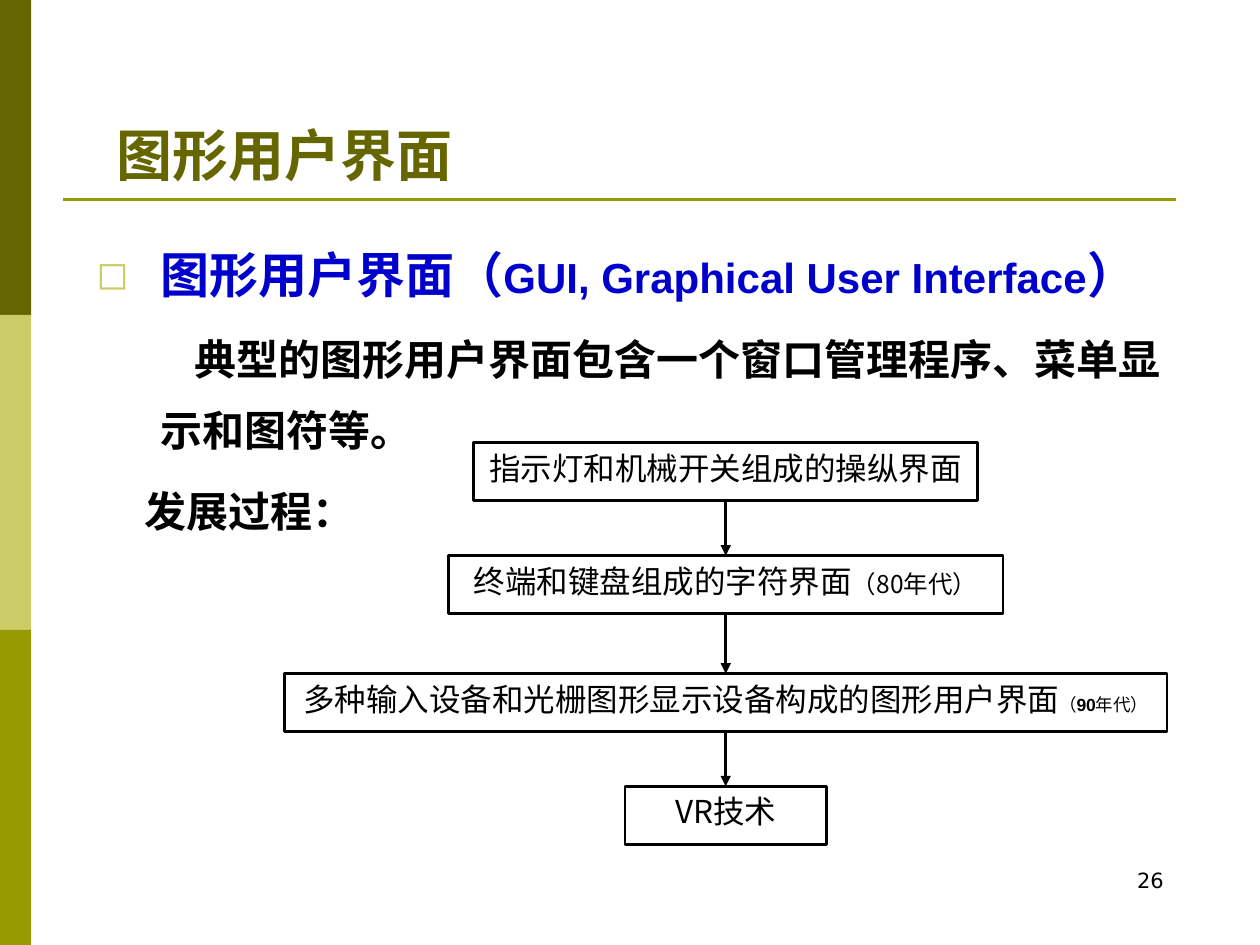
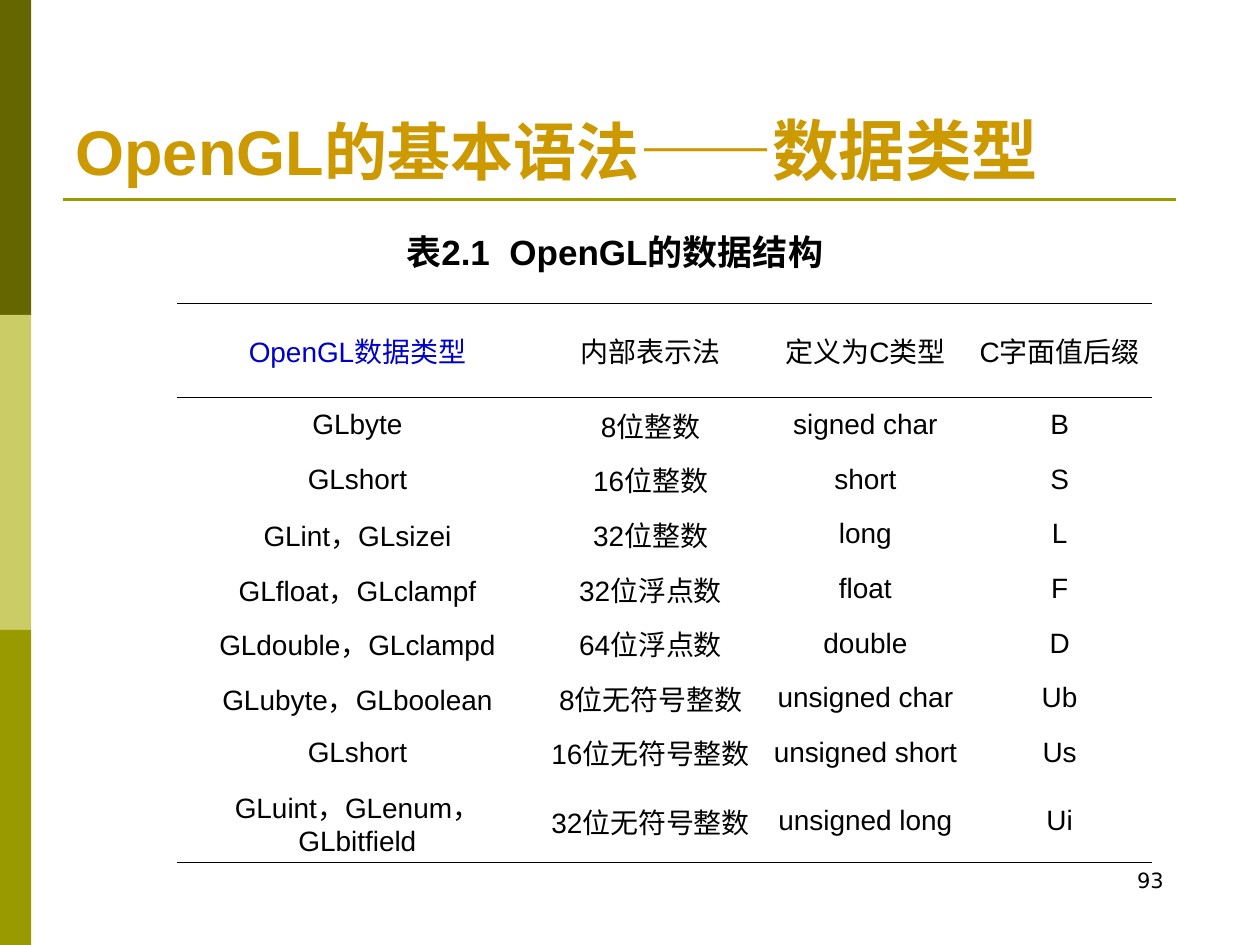
from dataclasses import dataclass
from itertools import pairwise

from lxml.etree import SubElement
from pptx import Presentation
from pptx.dml.color import RGBColor
from pptx.enum.shapes import MSO_CONNECTOR, MSO_SHAPE
from pptx.enum.text import MSO_ANCHOR, MSO_AUTO_SIZE, PP_ALIGN
from pptx.oxml.ns import qn
from pptx.util import Cm, Pt


@dataclass(frozen=True)
class Theme:
    bands: tuple = ("666600", "CCCC66", "999900")
    rule: str = "999900"
    olive: str = "666600"
    gold: str = "CC9900"
    blue: str = "0000CC"
    black: str = "000000"
    bullet: str = "CCCC66"
    latin: str = "Arial"
    sans: str = "DejaVu Sans"
    chinese: str = "Noto Sans CJK SC"
    title: int = 32
    large_title: int = 36
    largest_title: int = 38
    heading: int = 28
    body: int = 24
    caption: int = 20
    box: int = 18
    cell: int = 16
    era: int = 14
    small_era: int = 10
    number: int = 12


THEME = Theme()

GUI_TITLE = [("图形用户界面", THEME.title)]
GUI_BODY = [
    {
        "runs": [("图形用户界面（", THEME.heading),
                 ("GUI, Graphical User Interface", THEME.body),
                 ("）", THEME.heading)],
        "color": THEME.blue, "bullet": "◻", "left": 1.3, "indent": -1.3,
    },
    {
        "runs": [("典型的图形用户界面包含一个窗口管理程序、菜单显示和图符等。", THEME.body)],
        "color": THEME.black, "bullet": None, "left": 1.3, "indent": 0.67,
    },
    {
        "runs": [("发展过程：", THEME.body)],
        "color": THEME.black, "bullet": None, "left": 0.96, "indent": 0,
    },
]
STAGES = [
    (8.92, 10.16, [("指示灯和机械开关组成的操纵界面", THEME.box)]),
    (11.2, 11.18, [("终端和键盘组成的字符界面", THEME.box), ("（80年代）", THEME.era)]),
    (13.58, 17.8, [("多种输入设备和光栅图形显示设备构成的图形用户界面", THEME.box),
                   ("（", THEME.small_era),
                   ("90", THEME.small_era, True, THEME.latin),
                   ("年代）", THEME.small_era)]),
    (15.85, 4.06, [("VR技术", THEME.box)]),
]
STAGE_CENTER, STAGE_HEIGHT = 14.63, 1.17

TYPES_TITLE = [("OpenGL的基本语法", THEME.large_title),
               ("——数据类型", THEME.largest_title)]
TYPES_CAPTION = [("表2.1  OpenGL的数据结构", THEME.caption, True)]
TYPES_ROWS = [
    ("OpenGL数据类型", "内部表示法", "定义为C类型", "C字面值后缀"),
    ("GLbyte", "8位整数", "signed char", "B"),
    ("GLshort", "16位整数", "short", "S"),
    ("GLint，GLsizei", "32位整数", "long", "L"),
    ("GLfloat，GLclampf", "32位浮点数", "float", "F"),
    ("GLdouble，GLclampd", "64位浮点数", "double", "D"),
    ("GLubyte，GLboolean", "8位无符号整数", "unsigned char", "Ub"),
    ("GLshort", "16位无符号整数", "unsigned short", "Us"),
    ("GLuint，GLenum，GLbitfield", "32位无符号整数", "unsigned long", "Ui"),
]
COLUMN_WIDTHS = (7.27, 4.55, 4.11, 3.72)
HEADER_ROW, INNER_ROW, LAST_ROW = 1.9, 1.1, 1.67
PLAIN_TABLE = "{2D5ABB26-0587-4C30-8999-92F81FD0307C}"


def rgb(color):
    return RGBColor.from_string(color)


def write_runs(paragraph, runs, color, bold=False, font=THEME.latin):
    for text, size, *options in runs:
        run = paragraph.add_run()
        run.text = text
        run.font.size = Pt(size)
        run.font.bold = options[0] if options else bold
        run.font.name = options[1] if len(options) > 1 else font
        run.font.color.rgb = rgb(color)
        east_asian = SubElement(run._r.get_or_add_rPr(), qn("a:ea"))
        east_asian.set("typeface", THEME.chinese)


def place(shape, left, top, width, height):
    shape.left, shape.top = Cm(left), Cm(top)
    shape.width, shape.height = Cm(width), Cm(height)


def add_text(slide, area, runs, font=THEME.latin, align=PP_ALIGN.LEFT):
    text_frame = slide.shapes.add_textbox(*map(Cm, area)).text_frame
    text_frame.word_wrap = True
    paragraph = text_frame.paragraphs[0]
    paragraph.alignment = align
    write_runs(paragraph, runs, THEME.black, font=font)


def add_line(slide, start, end, color, arrow=False):
    line = slide.shapes.add_connector(MSO_CONNECTOR.STRAIGHT, *map(Cm, start + end))
    line.line.color.rgb = rgb(color)
    line.line.width = Pt(1.5)
    if arrow:
        SubElement(line.line._get_or_add_ln(), qn("a:tailEnd")).set("type", "triangle")
    SubElement(line._element.spPr, qn("a:effectLst"))


def add_base_slide(presentation, layout, title, title_area, title_color, number):
    slide = presentation.slides.add_slide(presentation.slide_layouts[layout])
    band_height = 19.05 / len(THEME.bands)
    for index, color in enumerate(THEME.bands):
        band = slide.shapes.add_shape(
            MSO_SHAPE.RECTANGLE, 0, Cm(index * band_height), Cm(0.63), Cm(band_height))
        band.shadow.inherit = False
        band.fill.solid()
        band.fill.fore_color.rgb = rgb(color)
        band.line.fill.background()
    add_line(slide, (1.27, 4.02), (23.7, 4.02), THEME.rule)
    place(slide.shapes.title, *title_area)
    text_frame = slide.shapes.title.text_frame
    text_frame.auto_size = MSO_AUTO_SIZE.NONE
    text_frame.vertical_anchor = MSO_ANCHOR.BOTTOM
    paragraph = text_frame.paragraphs[0]
    paragraph.alignment = PP_ALIGN.LEFT
    write_runs(paragraph, title, title_color, bold=True)
    add_text(slide, (18.21, 17.36, 5.5, 1.32), [(number, THEME.number)],
             THEME.sans, PP_ALIGN.RIGHT)
    return slide


def set_bullet(paragraph, bullet, left, indent):
    properties = paragraph._p.get_or_add_pPr()
    properties.set("marL", str(Cm(left)))
    properties.set("indent", str(Cm(indent)))
    if not bullet:
        SubElement(properties, qn("a:buNone"))
        return
    color = SubElement(properties, qn("a:buClr"))
    SubElement(color, qn("a:srgbClr")).set("val", THEME.bullet)
    SubElement(properties, qn("a:buSzPct")).set("val", "80000")
    SubElement(properties, qn("a:buFont")).set("typeface", THEME.sans)
    SubElement(properties, qn("a:buChar")).set("char", bullet)


def fill_body(body):
    place(body, 1.69, 4.32, 22.61, 7.59)
    text_frame = body.text_frame
    text_frame.auto_size = MSO_AUTO_SIZE.NONE
    for index, item in enumerate(GUI_BODY):
        paragraph = text_frame.add_paragraph() if index else text_frame.paragraphs[0]
        set_bullet(paragraph, item["bullet"], item["left"], item["indent"])
        paragraph.line_spacing = 1.4
        paragraph.space_before = Pt(6 if index else 0)
        write_runs(paragraph, item["runs"], item["color"], bold=True)


def add_stages(slide):
    for top, width, runs in STAGES:
        box = slide.shapes.add_shape(
            MSO_SHAPE.RECTANGLE, Cm(STAGE_CENTER - width / 2), Cm(top),
            Cm(width), Cm(STAGE_HEIGHT))
        box.shadow.inherit = False
        box.fill.background()
        box.line.color.rgb = rgb(THEME.black)
        box.line.width = Pt(1.5)
        box.text_frame.word_wrap = False
        box.text_frame.vertical_anchor = MSO_ANCHOR.TOP
        paragraph = box.text_frame.paragraphs[0]
        paragraph.alignment = PP_ALIGN.CENTER
        write_runs(paragraph, runs, THEME.black, font=THEME.chinese)
    for (top, *_), (next_top, *_) in pairwise(STAGES):
        add_line(slide, (STAGE_CENTER, top + STAGE_HEIGHT), (STAGE_CENTER, next_top),
                 THEME.black, arrow=True)


def add_border(cell, side):
    line = SubElement(cell._tc.get_or_add_tcPr(), qn(f"a:{side}"))
    line.set("w", str(Pt(0.45)))
    fill = SubElement(line, qn("a:solidFill"))
    SubElement(fill, qn("a:srgbClr")).set("val", THEME.black)


def add_types_table(slide):
    last = len(TYPES_ROWS) - 1
    heights = [HEADER_ROW] + [INNER_ROW] * (last - 1) + [LAST_ROW]
    table = slide.shapes.add_table(
        len(TYPES_ROWS), len(COLUMN_WIDTHS), Cm(3.57), Cm(6.12),
        Cm(sum(COLUMN_WIDTHS)), Cm(sum(heights))).table
    table.first_row = table.horz_banding = False
    table._tbl.tblPr.find(qn("a:tableStyleId")).text = PLAIN_TABLE
    for column, width in zip(table.columns, COLUMN_WIDTHS):
        column.width = Cm(width)
    for row_index, (row, height) in enumerate(zip(table.rows, heights)):
        row.height = Cm(height)
        for column_index, cell in enumerate(row.cells):
            if row_index == 0:
                add_border(cell, "lnT")
            if row_index in (0, last):
                add_border(cell, "lnB")
            cell.fill.background()
            cell.margin_left = cell.margin_right = Cm(0.2)
            cell.margin_top = cell.margin_bottom = Cm(0.13)
            cell.vertical_anchor = MSO_ANCHOR.MIDDLE
            paragraph = cell.text_frame.paragraphs[0]
            paragraph.alignment = PP_ALIGN.CENTER
            color = THEME.blue if row_index == column_index == 0 else THEME.black
            write_runs(paragraph, [(TYPES_ROWS[row_index][column_index], THEME.cell)], color)


def main():
    presentation = Presentation()
    presentation.slide_width, presentation.slide_height = Cm(25.4), Cm(19.05)

    gui_slide = add_base_slide(presentation, 1, GUI_TITLE, (2.1, 1.33, 8.81, 2.59),
                               THEME.olive, "26")
    fill_body(gui_slide.placeholders[1])
    add_stages(gui_slide)

    types_slide = add_base_slide(presentation, 5, TYPES_TITLE, (1.27, 0.76, 22.86, 3.18),
                                 THEME.gold, "93")
    add_text(types_slide, (7.94, 4.52, 14.1, 1.12), TYPES_CAPTION)
    add_types_table(types_slide)

    presentation.save("out.pptx")


if __name__ == "__main__":
    main()
